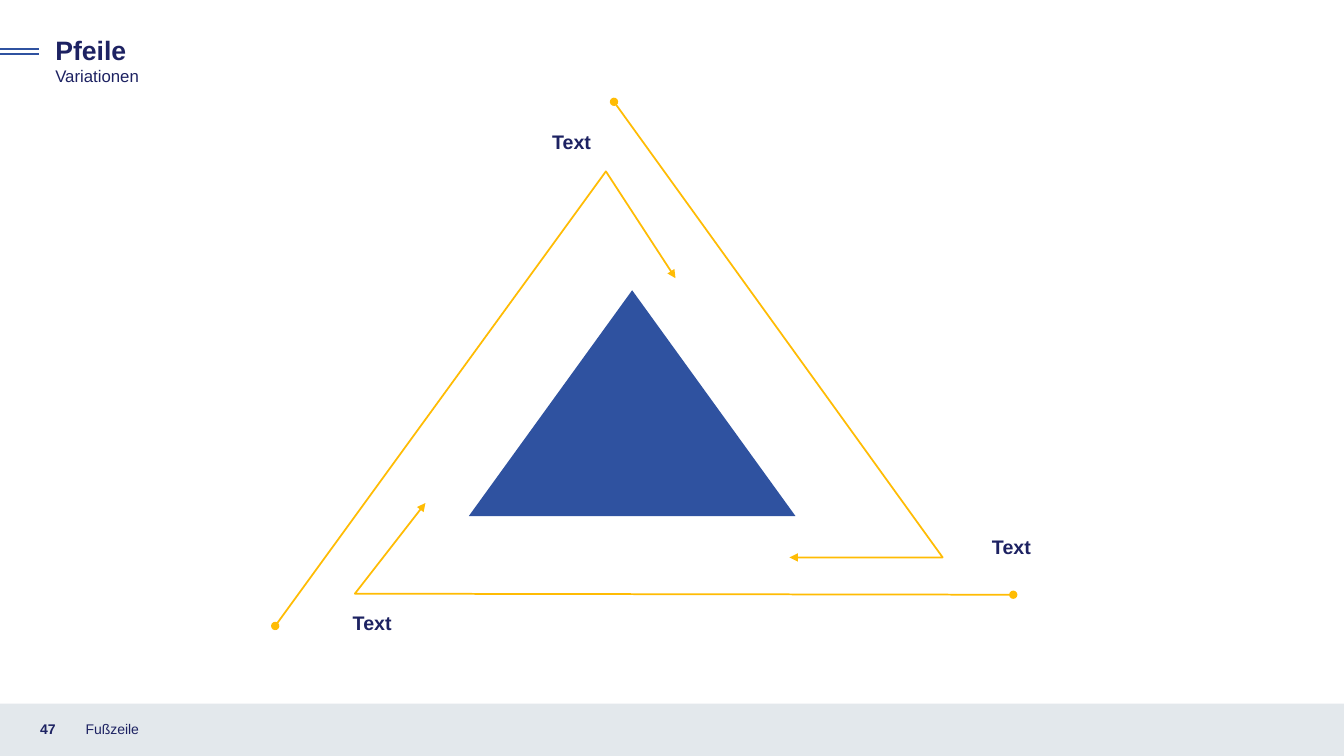
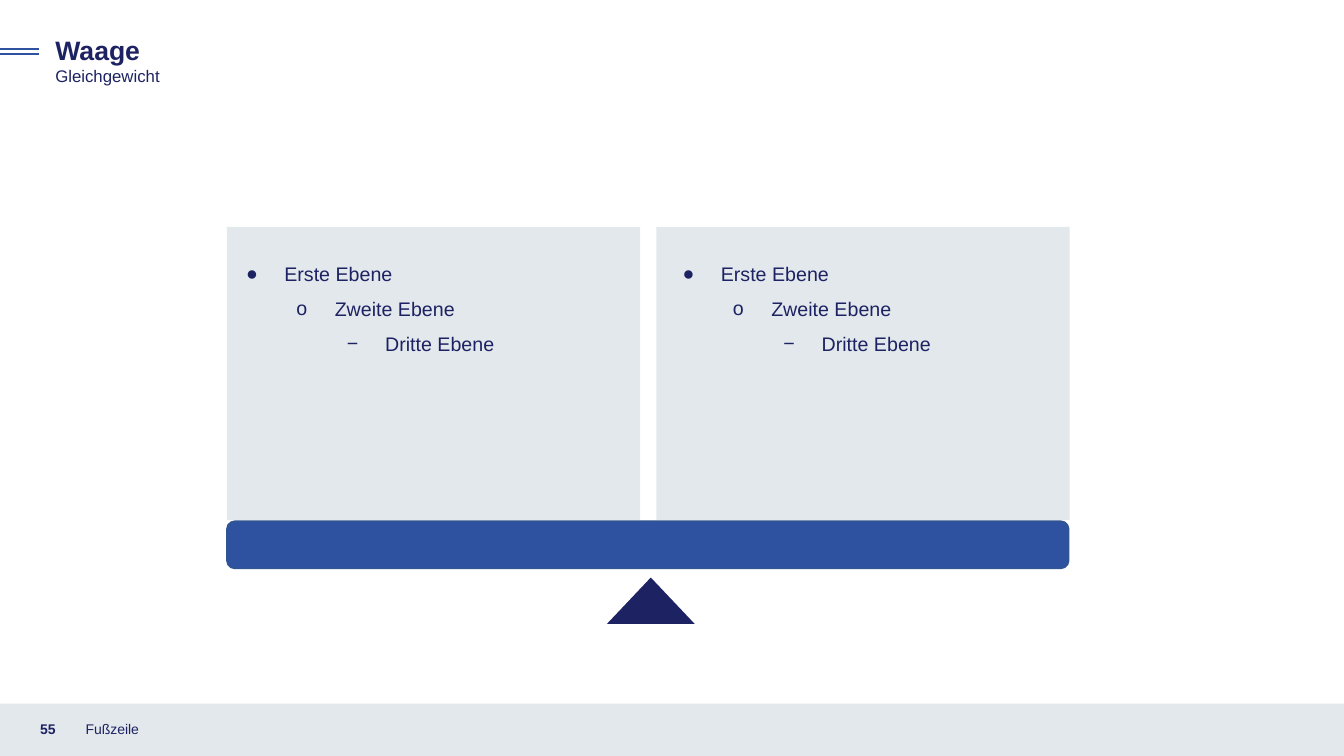
from lxml import etree
from pptx import Presentation
from pptx.dml.color import RGBColor
from pptx.enum import shapes, text
from pptx.oxml import ns
from pptx.util import Inches, Pt

NAVY, BLUE, GOLD, GREY = "1D2262", "2F52A0", "FFBC04", "E3E8EC"
SHAPE, ALIGN, ANCHOR = shapes.MSO_SHAPE, text.PP_ALIGN, text.MSO_ANCHOR


def color(hex_value):
    return RGBColor.from_string(hex_value)


def write(box, words, size, bold=False, wrap=True, anchor=ANCHOR.TOP, align=ALIGN.LEFT):
    """Put one formatted line into a text box or placeholder."""
    frame = box.text_frame
    frame.text = words
    frame.word_wrap = wrap
    frame.auto_size = text.MSO_AUTO_SIZE.NONE
    frame.vertical_anchor = anchor
    frame.paragraphs[0].alignment = align
    font = frame.paragraphs[0].runs[0].font
    for name, value in {"name": "Arial", "size": Pt(size), "bold": bold}.items():
        setattr(font, name, value)
    font.color.rgb = color(NAVY)


prs = Presentation()
prs.slide_width, prs.slide_height = Inches(13.33), Inches(7.5)
TITLE_ONLY, TWO_CONTENT = prs.slide_layouts[5], prs.slide_layouts[3]

# Frame shared by both slides: band, footer, title, subtitle, double rule
slides = []
for layout, number, title, subtitle in [
    (TITLE_ONLY, "47", "Pfeile", "Variationen"),
    (TWO_CONTENT, "55", "Waage", "Gleichgewicht"),
]:
    slide = prs.slides.add_slide(layout)
    slides.append(slide)
    heading = slide.shapes.title
    heading.left, heading.top = Inches(0.45), Inches(0.29)
    heading.width, heading.height = Inches(7.72), Inches(0.42)
    write(heading, title, 19, bold=True)

    band = slide.shapes.add_shape(
        SHAPE.RECTANGLE, Inches(-0.01), Inches(6.98), Inches(13.34), Inches(0.55))
    band.shadow.inherit = False
    band.fill.solid()
    band.fill.fore_color.rgb = color(GREY)
    band.line.fill.background()

    for words, left, top, width, height, style in [
        (subtitle, 0.45, 0.6, 3.46, 0.3, {"size": 12}),
        (number, 0.3, 7.03, 0.45, 0.4, {"size": 10, "bold": True, "anchor": ANCHOR.MIDDLE}),
        ("Fußzeile", 0.75, 7.03, 4.5, 0.4, {"size": 10, "anchor": ANCHOR.MIDDLE}),
    ]:
        box = slide.shapes.add_textbox(
            Inches(left), Inches(top), Inches(width), Inches(height))
        write(box, words, **style)

    for y in (0.49, 0.54):
        rule = slide.shapes.add_connector(
            shapes.MSO_CONNECTOR.STRAIGHT, 0, Inches(y), Inches(0.39), Inches(y))
        rule.line.color.rgb = color(BLUE)
        rule.line.width = Pt(1.5)
        etree.SubElement(rule._element.spPr, ns.qn("a:effectLst"))

arrows, balance = slides

# Solid shapes: the triangle inside the arrows, the beam and its pivot
for slide, preset, left, top, width, height, fill, edge in [
    (arrows, SHAPE.ISOSCELES_TRIANGLE, 4.65, 2.88, 3.24, 2.24, BLUE, None),
    (balance, SHAPE.ISOSCELES_TRIANGLE, 6.02, 5.73, 0.87, 0.46, NAVY, None),
    (balance, SHAPE.ROUNDED_RECTANGLE, 2.25, 5.17, 8.35, 0.47, BLUE, "325491"),
]:
    solid = slide.shapes.add_shape(
        preset, Inches(left), Inches(top), Inches(width), Inches(height))
    solid.shadow.inherit = False
    solid.fill.solid()
    solid.fill.fore_color.rgb = color(fill)
    if edge:
        solid.line.color.rgb = color(edge)
        solid.line.width = Pt(1)
    else:
        solid.line.fill.background()

# Slide 1: three bent arrows around the triangle
for route in [
    [(2.73, 6.21), (6.01, 1.7), (6.7, 2.76)],
    [(10.05, 5.9), (3.52, 5.89), (4.22, 4.99)],
    [(6.09, 1.01), (9.35, 5.53), (7.83, 5.53)],
]:
    start, *bends = [(Inches(x), Inches(y)) for x, y in route]
    builder = arrows.shapes.build_freeform(*start)
    builder.add_line_segments(bends, close=False)
    arrow = builder.convert_to_shape()
    arrow.shadow.inherit = False
    arrow.fill.background()
    arrow.line.color.rgb = color(GOLD)
    arrow.line.width = Pt(1.25)
    for end, kind in (("a:headEnd", "oval"), ("a:tailEnd", "triangle")):
        etree.SubElement(arrow.line._ln, ns.qn(end), type=kind)

for left, top, align in [
    (9.74, 5.26, ALIGN.LEFT), (3.4, 6.01, ALIGN.LEFT), (5.37, 1.24, ALIGN.RIGHT),
]:
    label = arrows.shapes.add_textbox(
        Inches(left), Inches(top), Inches(0.59), Inches(0.34))
    write(label, "Text", 14, bold=True, wrap=False, align=align)

# Slide 2: two list panels resting on the beam
LEVELS = [("Erste Ebene", "●"), ("Zweite Ebene", "o"), ("Dritte Ebene", "−")]
for index, left, inset in [(1, 2.25, 0.19), (2, 6.51, 0.26)]:
    panel = balance.placeholders[index]
    panel.left, panel.top = Inches(left), Inches(2.25)
    panel.width, panel.height = Inches(4.1), Inches(2.91)
    panel.fill.solid()
    panel.fill.fore_color.rgb = color(GREY)
    frame = panel.text_frame
    frame.auto_size = text.MSO_AUTO_SIZE.NONE
    frame.margin_left, frame.margin_top = Inches(inset), Inches(0.23)
    for level, (words, bullet) in enumerate(LEVELS):
        item = frame.add_paragraph() if level else frame.paragraphs[0]
        for name, value in {"level": level, "line_spacing": 1.5, "space_before": Pt(0)}.items():
            setattr(item, name, value)
        props = item._p.get_or_add_pPr()
        props.set("marL", str(Inches(0.38 + 0.5 * level)))
        props.set("indent", str(Inches(-0.38)))
        tint = etree.SubElement(props, ns.qn("a:buClr"))
        etree.SubElement(tint, ns.qn("a:srgbClr"), val=NAVY)
        etree.SubElement(props, ns.qn("a:buFont"), typeface="Arial")
        etree.SubElement(props, ns.qn("a:buChar"), char=bullet)
        run = item.add_run()
        run.text = words
        run.font.name, run.font.size = "Arial", Pt(14)
        run.font.color.rgb = color(NAVY)

prs.save("out.pptx")
